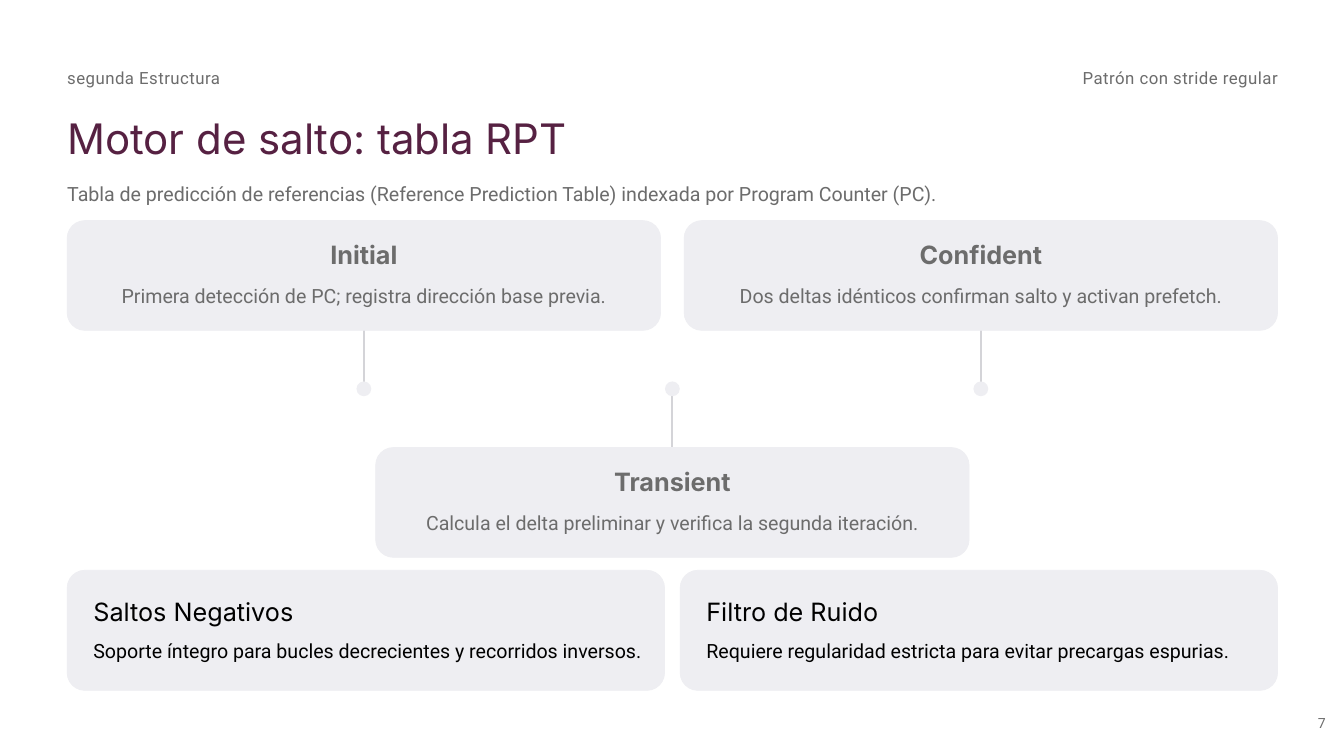
from lxml import etree
from pptx import Presentation
from pptx import util as u
from pptx.dml.color import RGBColor
from pptx.enum import shapes, text
from pptx.oxml.ns import qn

PLUM = RGBColor(0x56, 0x21, 0x42)
GRAY = RGBColor(0x6C, 0x6C, 0x6C)
BLACK = RGBColor(0, 0, 0)
PANEL = RGBColor(0xEE, 0xEE, 0xF2)
STEM = RGBColor(0xD4, 0xD4, 0xD8)

MARGIN = 2.54
CONTENT_WIDTH = 45.75
STATE_WIDTH, STATE_HEIGHT = 22.43, 4.15
STATE_STEP = (CONTENT_WIDTH - STATE_WIDTH) / 2
NOTE_WIDTH, NOTE_HEIGHT = 22.58, 4.54
NOTE_STEP = CONTENT_WIDTH - NOTE_WIDTH
UPPER_TOP, AXIS, LOWER_TOP, NOTE_TOP = 8.34, 14.7, 16.92, 21.56
DOT = 0.56
RADIUS = 0.67

FRAME = {
    "margin_left": 0, "margin_top": 0, "margin_right": 0, "margin_bottom": 0,
    "word_wrap": True, "auto_size": text.MSO_AUTO_SIZE.NONE,
    "vertical_anchor": text.MSO_ANCHOR.TOP,
}
LABEL = {"name": "Roboto", "size": u.Pt(18), "bold": False}
TITLE = {"name": "Inter", "size": u.Pt(45), "bold": False}
BODY = {"name": "Roboto", "size": u.Pt(21), "bold": False}
STATE = {"name": "Inter", "size": u.Pt(27), "bold": True}
NOTE = {**STATE, "bold": False}
PAGE = {**LABEL, "size": u.Pt(15)}
LEADING = {18: 25.3, 45: 54, 21: 28.2, 27: 32.4, 15: 20.2}

LEFT, CENTER, RIGHT = text.PP_ALIGN.LEFT, text.PP_ALIGN.CENTER, text.PP_ALIGN.RIGHT


def assign(target, values):
    for key, value in values.items():
        setattr(target, key, value)


class Deck:
    def __init__(self, width, height):
        self.presentation = Presentation()
        self.presentation.slide_width = u.Cm(width)
        self.presentation.slide_height = u.Cm(height)
        self.slide = self.presentation.slides.add_slide(self.presentation.slide_layouts[5])

    def fill_text(self, frame, words, font, color, align=LEFT, tracking=0,
                  anchor=text.MSO_ANCHOR.TOP):
        assign(frame, {**FRAME, "vertical_anchor": anchor})
        paragraph = frame.paragraphs[0]
        leading = u.Pt(LEADING[int(font["size"].pt)])
        assign(paragraph, {"alignment": align, "line_spacing": leading})
        run = paragraph.add_run()
        run.text = words
        assign(run.font, font)
        run.font.color.rgb = color
        if tracking:
            run._r.get_or_add_rPr().set("spc", str(tracking))

    def title(self, words, left, top, width, height):
        title = self.slide.shapes.title
        assign(title, {"left": u.Cm(left), "top": u.Cm(top),
                       "width": u.Cm(width), "height": u.Cm(height)})
        self.fill_text(title.text_frame, words, TITLE, PLUM)

    def label(self, words, left, top, width, height, font, color, **layout):
        box = self.slide.shapes.add_textbox(u.Cm(left), u.Cm(top), u.Cm(width), u.Cm(height))
        self.fill_text(box.text_frame, words, font, color, **layout)

    def shape(self, kind, left, top, width, height):
        shape = self.slide.shapes.add_shape(
            kind, u.Cm(left), u.Cm(top), u.Cm(width), u.Cm(height))
        shape.shadow.inherit = False
        shape.fill.solid()
        shape.fill.fore_color.rgb = PANEL
        return shape

    def panel(self, left, top, width, height):
        panel = self.shape(shapes.MSO_SHAPE.ROUNDED_RECTANGLE, left, top, width, height)
        panel.adjustments[0] = RADIUS / height
        panel.line.color.rgb = PANEL
        panel.line.width = u.Pt(0.75)

    def stem(self, x, start, end):
        stem = self.slide.shapes.add_connector(
            shapes.MSO_CONNECTOR.STRAIGHT, u.Cm(x), u.Cm(start), u.Cm(x), u.Cm(end))
        stem.line.color.rgb = STEM
        stem.line.width = u.Pt(2)
        etree.SubElement(stem._element.spPr, qn("a:effectLst"))

    def dot(self, x, y):
        dot = self.shape(shapes.MSO_SHAPE.OVAL, x - DOT / 2, y - DOT / 2, DOT, DOT)
        dot.line.fill.background()

    def state(self, left, top, name, detail):
        middle = left + STATE_WIDTH / 2
        edge = top + STATE_HEIGHT if top < AXIS else top
        self.stem(middle, edge, AXIS)
        self.dot(middle, AXIS)
        self.panel(left, top, STATE_WIDTH, STATE_HEIGHT)
        inner = STATE_WIDTH - 1.54
        self.label(name, left + 0.77, top + 0.7, inner, 1.14, STATE, GRAY, align=CENTER)
        self.label(detail, left + 0.77, top + 2.29, inner, 1.09, BODY, GRAY, align=CENTER)

    def note(self, left, name, detail):
        self.panel(left, NOTE_TOP, NOTE_WIDTH, NOTE_HEIGHT)
        self.label(name, left + 0.99, NOTE_TOP + 0.97, 20.6, 1.3, NOTE, BLACK)
        self.label(detail, left + 0.99, NOTE_TOP + 2.47, 21.59, 1.09, BODY, BLACK)


def main():
    deck = Deck(50.8, 28.58)
    deck.label("segunda Estructura", MARGIN, 2.44, 14.6, 0.84, LABEL, GRAY, tracking=50)
    deck.label("Patrón con stride regular", 19.08, 2.44, 29.23, 0.99, LABEL, GRAY,
               align=RIGHT, tracking=50)
    deck.title("Motor de salto: tabla RPT", MARGIN, 4.27, CONTENT_WIDTH, 2.21)
    deck.label("Tabla de predicción de referencias (Reference Prediction Table) "
               "indexada por Program Counter (PC).",
               MARGIN, 6.76, 48.26, 1.09, BODY, GRAY)

    states = [
        (UPPER_TOP, "Initial", "Primera detección de PC; registra dirección base previa."),
        (LOWER_TOP, "Transient", "Calcula el delta preliminar y verifica la segunda iteración."),
        (UPPER_TOP, "Confident", "Dos deltas idénticos confirman salto y activan prefetch."),
    ]
    for index, (top, name, detail) in enumerate(states):
        deck.state(MARGIN + index * STATE_STEP, top, name, detail)

    notes = [
        ("Saltos Negativos", "Soporte íntegro para bucles decrecientes y recorridos inversos."),
        ("Filtro de Ruido", "Requiere regularidad estricta para evitar precargas espurias."),
    ]
    for index, (name, detail) in enumerate(notes):
        deck.note(MARGIN + index * NOTE_STEP, name, detail)

    deck.label("7", 49.81, 26.92, 0.99, 0.76, PAGE, GRAY, anchor=text.MSO_ANCHOR.MIDDLE)
    deck.presentation.save("out.pptx")


if __name__ == "__main__":
    main()
